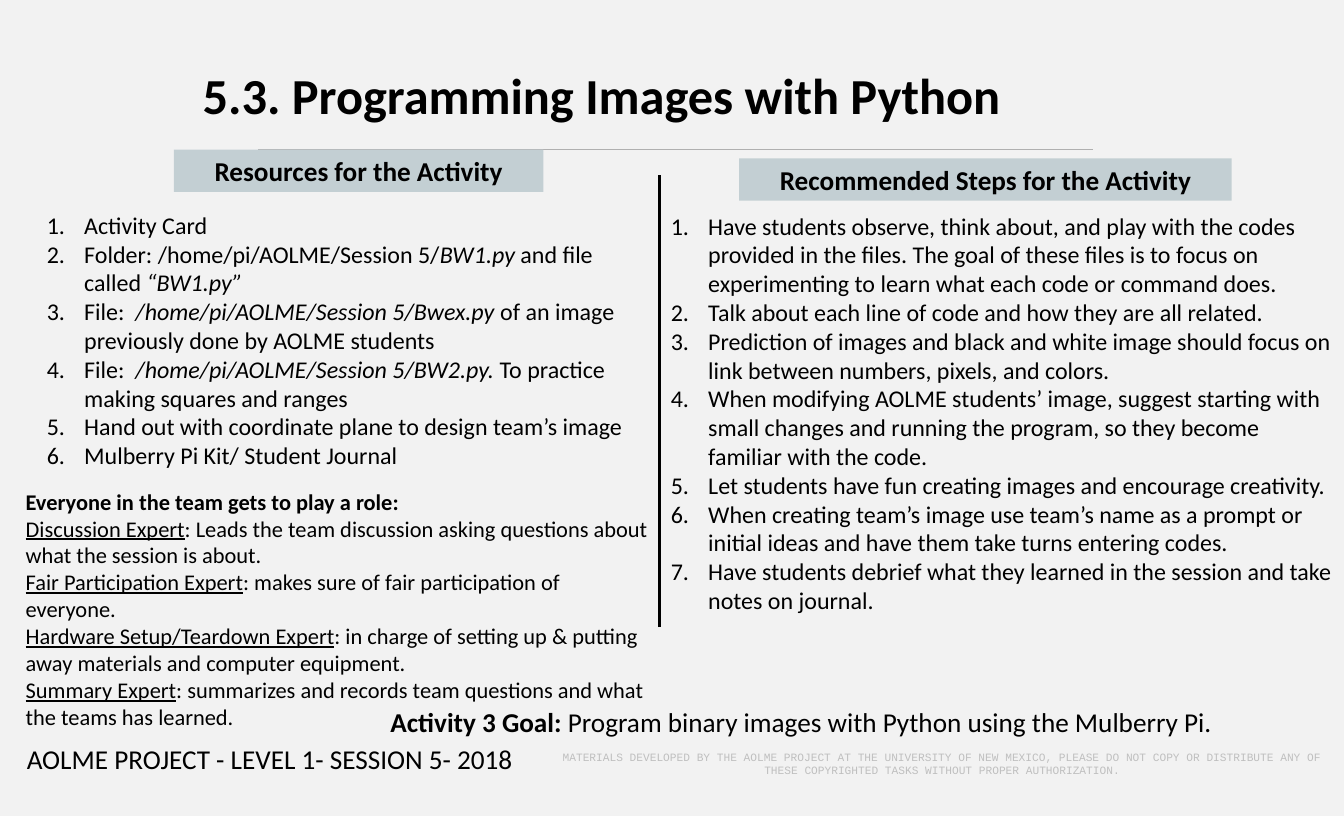
import pptx
import pptx.util
import pptx.dml.color
import pptx.enum.shapes
import pptx.enum.text
import pptx.oxml.ns
import lxml.etree

Cm = pptx.util.Cm
Pt = pptx.util.Pt
RGBColor = pptx.dml.color.RGBColor
ALIGN = pptx.enum.text.PP_ALIGN
qn = pptx.oxml.ns.qn

BLACK = RGBColor(0x00, 0x00, 0x00)
PAPER = RGBColor(0xF2, 0xF2, 0xF2)
BAND = RGBColor(0xC3, 0xCF, 0xD3)
PALE = RGBColor(0xBF, 0xBF, 0xBF)
RULE = RGBColor(0xB0, 0xB0, 0xB0)

TOOLS = [
    [("Activity Card", "")],
    [("Folder: /home/pi/AOLME/Session 5/", ""), ("BW1.py ", "i"),
     ("and file called ", ""), ("“BW1.py”", "i")],
    [("File:  ", ""), ("/home/pi/AOLME/Session 5/Bwex.py ", "i"),
     ("of an image previously done by AOLME students", "")],
    [("File:  ", ""), ("/home/pi/AOLME/Session 5/BW2.py. ", "i"),
     ("To practice making squares and ranges", "")],
    [("Hand out with coordinate plane to design team’s image", "")],
    [("Mulberry Pi Kit/ Student Journal", "")],
]
STEPS = [
    "Have students observe, think about, and play with the codes provided in the files. "
    "The goal of these files is to focus on experimenting to learn what each code or command does.",
    "Talk about each line of code and how they are all related.",
    "Prediction of images and black and white image should focus on link between numbers, "
    "pixels, and colors.",
    "When modifying AOLME students’ image, suggest starting with small changes and running "
    "the program, so they become familiar with the code.",
    "Let students have fun creating images and encourage creativity.",
    "When creating team’s image use team’s name as a prompt or initial ideas and have them "
    "take turns entering codes.",
    "Have students debrief what they learned in the session and take notes on journal.",
]
ROLES = [
    ("Discussion Expert", "Leads the team discussion asking questions about what the session is about."),
    ("Fair Participation Expert", "makes sure of fair participation of everyone."),
    ("Hardware Setup/Teardown Expert", "in charge of setting up & putting away materials "
     "and computer equipment."),
    ("Summary Expert", "summarizes and records team questions and what the teams has learned."),
]
NOTICE = ("MATERIALS DEVELOPED BY THE AOLME PROJECT AT THE UNIVERSITY OF NEW MEXICO, PLEASE DO NOT "
          "COPY OR DISTRIBUTE ANY OF THESE COPYRIGHTED TASKS WITHOUT PROPER AUTHORIZATION.")


def number(para):
    props = para._p.get_or_add_pPr()
    props.set("marL", str(Cm(1.04)))
    props.set("indent", str(Cm(-0.99)))
    mark = lxml.etree.SubElement(props, qn("a:buFont"))
    mark.set("typeface", "+mj-lt")
    mark = lxml.etree.SubElement(props, qn("a:buAutoNum"))
    mark.set("type", "arabicPeriod")


def write(frame, rows, size, color=BLACK, face="Calibri", align=ALIGN.LEFT, listed=False):
    for index, row in enumerate(rows):
        para = frame.add_paragraph() if index else frame.paragraphs[0]
        para.alignment = align
        if listed:
            number(para)
        for text, style in row:
            run = para.add_run()
            run.text = text
            font = run.font
            font.name = face
            font.size = Pt(size)
            font.color.rgb = color
            font.bold = "b" in style
            font.italic = "i" in style
            font.underline = "u" in style


def add_text(slide, place, rows, size, wrap=True, **look):
    box = slide.shapes.add_textbox(*map(Cm, place))
    box.text_frame.word_wrap = wrap
    write(box.text_frame, rows, size, **look)
    return box


def add_head(slide, place, text):
    band = slide.shapes.add_shape(pptx.enum.shapes.MSO_SHAPE.RECTANGLE, *map(Cm, place))
    band.shadow.inherit = False
    band.fill.solid()
    band.fill.fore_color.rgb = BAND
    band.line.fill.background()
    write(band.text_frame, [[(text, "b")]], 20.4, align=ALIGN.CENTER)


def add_line(slide, ends, color, width):
    line = slide.shapes.add_connector(pptx.enum.shapes.MSO_CONNECTOR.STRAIGHT, *map(Cm, ends))
    line.line.color.rgb = color
    line.line.width = Pt(width)
    lxml.etree.SubElement(line._element.spPr, qn("a:effectLst"))


def main():
    deck = pptx.Presentation()
    deck.slide_width = Cm(35.56)
    deck.slide_height = Cm(21.59)
    slide = deck.slides.add_slide(deck.slide_layouts[6])
    slide.background.fill.solid()
    slide.background.fill.fore_color.rgb = PAPER

    add_line(slide, (17.45, 16.59, 17.45, 4.62), BLACK, 2.25)
    add_line(slide, (6.83, 3.96, 28.91, 3.96), RULE, 1)
    add_text(slide, (0.94, 5.44, 16.51, 7.95), TOOLS, 18, listed=True)
    add_text(slide, (0.46, 19.51, 13.72, 1.12),
             [[("AOLME PROJECT - LEVEL 1- SESSION 5- 2018", "")]], 20.4, wrap=False)
    note = add_text(slide, (14.38, 19.69, 21.11, 1.02), [[(NOTICE, "")]], 8.4,
                    color=PALE, face="Courier New", align=ALIGN.CENTER)
    note.text_frame.vertical_anchor = pptx.enum.text.MSO_ANCHOR.MIDDLE
    add_head(slide, (4.6, 3.96, 9.78, 1.12), "Resources for the Activity")
    add_head(slide, (19.56, 4.19, 13.03, 1.12), "Recommended Steps for the Activity")
    add_text(slide, (17.45, 5.46, 18.06, 11.02), [[(step, "")] for step in STEPS], 18, listed=True)
    add_text(slide, (5.11, 1.57, 32.03, 1.88),
             [[("5.3. Programming Images with Python", "b")]], 37.8)
    add_text(slide, (10.08, 18.54, 23.75, 1.12),
             [[("Activity 3 Goal: ", "b"),
               ("Program binary images with Python using the Mulberry Pi.", "")]], 20.4)
    roles = [[(name, "u"), (": " + task, "")] for name, task in ROLES]
    add_text(slide, (0.43, 12.78, 17.02, 6.73),
             [[("Everyone in the team gets to play a role:", "b")]] + roles, 16.8)
    deck.save("out.pptx")


if __name__ == "__main__":
    main()
